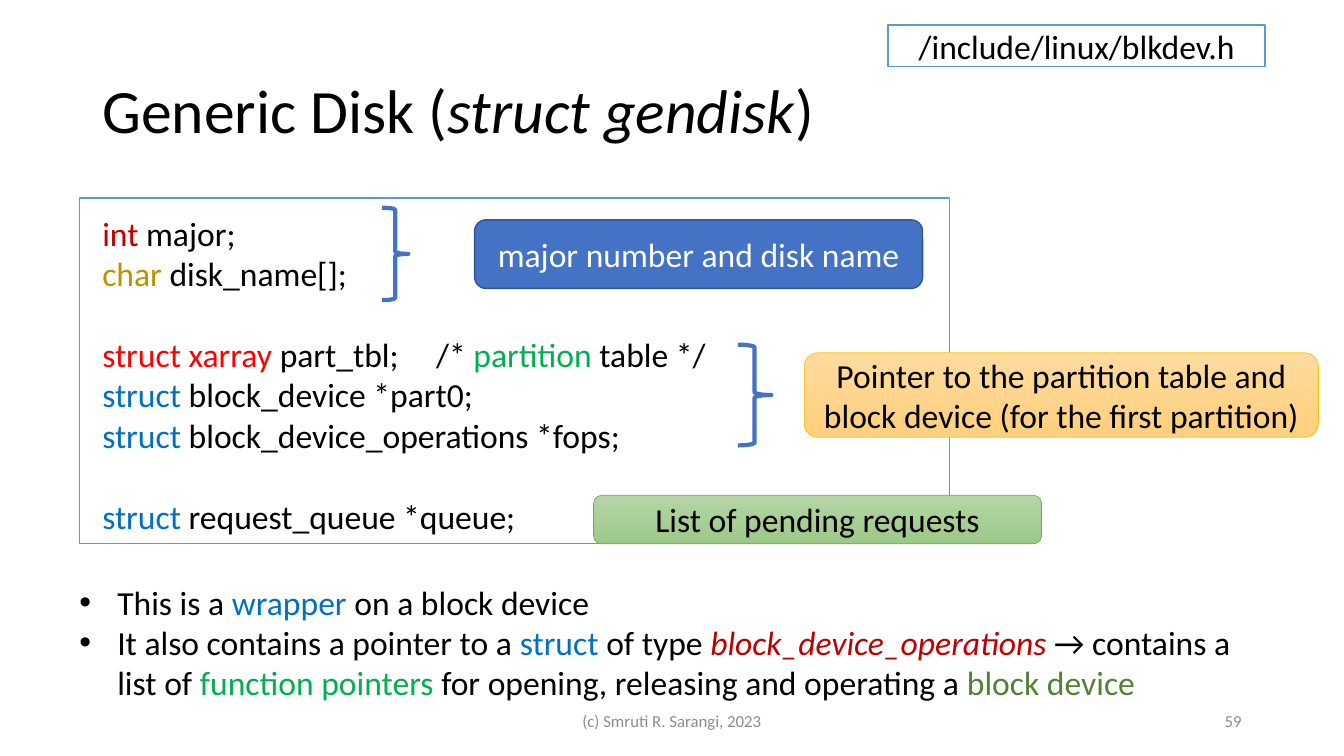
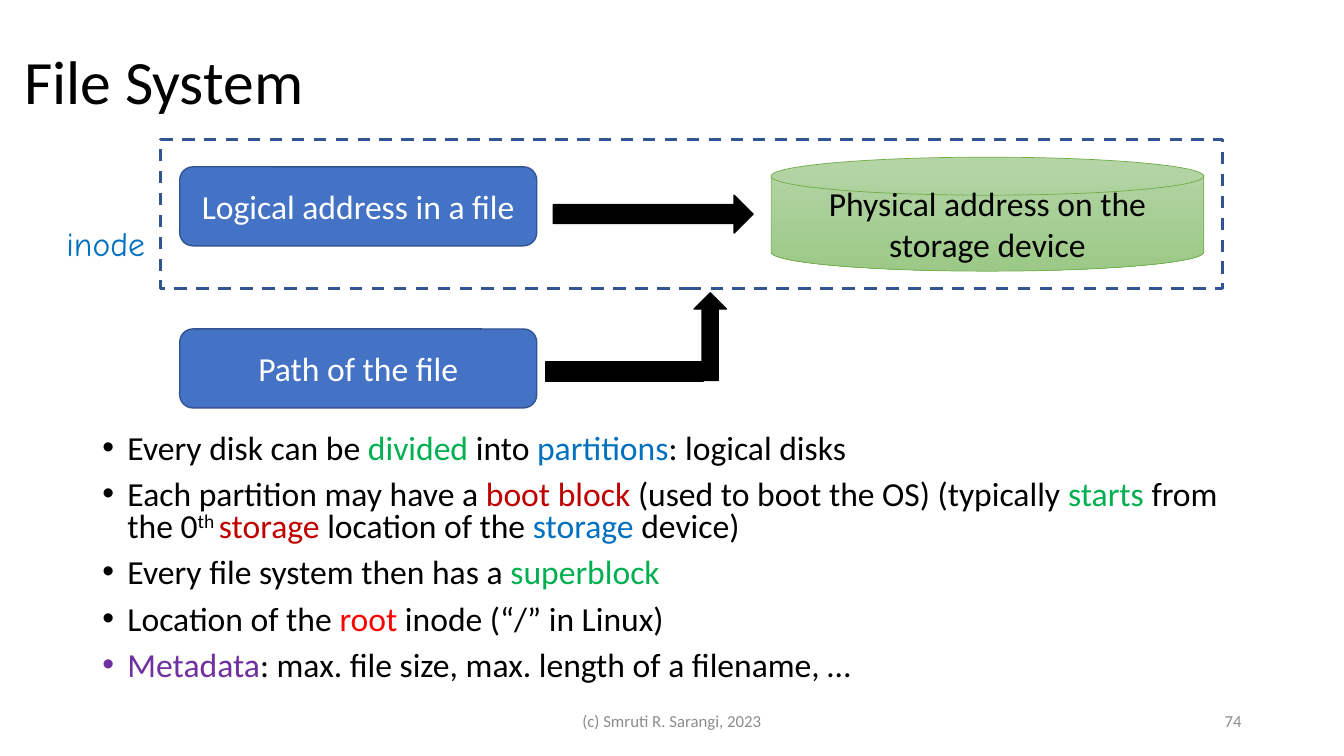
from dataclasses import dataclass

from lxml import etree
from pptx import Presentation
from pptx.dml.color import RGBColor
from pptx.enum.dml import MSO_LINE
from pptx.enum.shapes import MSO_SHAPE
from pptx.enum.text import MSO_ANCHOR, MSO_AUTO_SIZE, PP_ALIGN
from pptx.oxml.ns import qn
from pptx.util import Pt

RECTANGLE = MSO_SHAPE.RECTANGLE
ROUNDED = MSO_SHAPE.ROUNDED_RECTANGLE
BRACE = MSO_SHAPE.RIGHT_BRACE
ARROW = MSO_SHAPE.RIGHT_ARROW
DISK = MSO_SHAPE.FLOWCHART_MAGNETIC_DISK
DASH = MSO_LINE.DASH
TOP, MIDDLE = MSO_ANCHOR.TOP, MSO_ANCHOR.MIDDLE
LEFT, CENTER, RIGHT = PP_ALIGN.LEFT, PP_ALIGN.CENTER, PP_ALIGN.RIGHT
NO_AUTOFIT = MSO_AUTO_SIZE.NONE
TITLE_ONLY = 5


@dataclass(frozen=True)
class Theme:
    font: str = "Calibri"
    label_font: str = "Comic Neue"
    title_size: int = 44
    text_size: int = 24
    footer_size: int = 12
    black: str = "000000"
    white: str = "FFFFFF"
    gray: str = "8C8C8C"
    frame: str = "5B9BD5"
    box: str = "4472C4"
    box_edge: str = "325491"
    amber_edge: str = "FFC000"
    leaf_edge: str = "70AD47"
    amber: tuple = ("FFDB9E", "FFD07C")
    leaf: tuple = ("B5D5A7", "9CC987")
    crimson: str = "C00000"
    red: str = "FF0000"
    gold: str = "BF9000"
    green: str = "00B050"
    olive: str = "548235"
    blue: str = "0070C0"
    purple: str = "7030A0"


THEME = Theme()


@dataclass(frozen=True)
class Span:
    text: str
    color: str = ""
    italic: bool = False
    superscript: bool = False


class Deck:
    def __init__(self, theme):
        self.theme = theme
        self.presentation = Presentation()
        self.presentation.slide_width = Pt(960)
        self.presentation.slide_height = Pt(540)
        self.slide = None

    def new_slide(self, title, left, top, number):
        layout = self.presentation.slide_layouts[TITLE_ONLY]
        self.slide = self.presentation.slides.add_slide(layout)
        shape = self.slide.shapes.title
        shape.left, shape.top, shape.width, shape.height = Pt(left), Pt(top), Pt(828), Pt(104.4)
        frame = shape.text_frame
        frame.auto_size = NO_AUTOFIT
        frame.vertical_anchor = MIDDLE
        frame.paragraphs[0].line_spacing = 0.9
        self.fill_paragraph(frame.paragraphs[0], title, size=self.theme.title_size)
        footer = {"size": self.theme.footer_size, "color": self.theme.gray, "anchor": MIDDLE}
        self.text([["(c) Smruti R. Sarangi, 2023"]], 318, 500.4, 324, 28.8, align=CENTER, **footer)
        self.text([[number]], 678, 500.4, 216, 28.8, align=RIGHT, **footer)

    def fill_paragraph(self, paragraph, spans, size=None, color=None, font=None, align=LEFT):
        paragraph.alignment = align
        paragraph.font.name = font or self.theme.font
        paragraph.font.size = Pt(size or self.theme.text_size)
        paragraph.font.color.rgb = RGBColor.from_string(color or self.theme.black)
        for item in spans:
            span = item if isinstance(item, Span) else Span(item)
            run = paragraph.add_run()
            run.text = span.text
            if span.color:
                run.font.color.rgb = RGBColor.from_string(span.color)
            if span.italic:
                run.font.italic = True
            if span.superscript:
                run._r.get_or_add_rPr().set("baseline", "30000")

    def text(self, lines, left, top, width, height, anchor=TOP, wrap=True, **style):
        frame = self.slide.shapes.add_textbox(Pt(left), Pt(top), Pt(width), Pt(height)).text_frame
        frame.word_wrap = wrap
        frame.vertical_anchor = anchor
        for index, spans in enumerate(lines):
            paragraph = frame.add_paragraph() if index else frame.paragraphs[0]
            self.fill_paragraph(paragraph, spans, **style)
        return frame

    def code(self, groups, left, top, width, height, group_gap, comment_tab):
        frame = self.text([], left, top, width, height)
        for group_index, group in enumerate(groups):
            for line_index, spans in enumerate(group):
                first = group_index == line_index == 0
                paragraph = frame.paragraphs[0] if first else frame.add_paragraph()
                if group_index and not line_index:
                    paragraph.space_before = Pt(group_gap)
                tabs = etree.SubElement(paragraph._p.get_or_add_pPr(), qn("a:tabLst"))
                etree.SubElement(tabs, qn("a:tab"), pos=str(Pt(comment_tab)), algn="l")
                self.fill_paragraph(paragraph, spans)

    def bullets(self, lines, left, top, width, height, indent, spacing=1.0, gap=0):
        frame = self.text([], left, top, width, height)
        for index, spans in enumerate(lines):
            paragraph = frame.add_paragraph() if index else frame.paragraphs[0]
            properties = paragraph._p.get_or_add_pPr()
            properties.set("marL", str(Pt(indent)))
            properties.set("indent", str(-Pt(indent)))
            etree.SubElement(properties, qn("a:buFont"), typeface="Arial")
            etree.SubElement(properties, qn("a:buChar"), char="•")
            paragraph.line_spacing = spacing
            if index and gap:
                paragraph.space_before = Pt(gap)
            self.fill_paragraph(paragraph, spans)

    def shape(self, kind, left, top, width, height, line, weight=1, fill=None, text="", color=None):
        shape = self.slide.shapes.add_shape(kind, Pt(left), Pt(top), Pt(width), Pt(height))
        shape.shadow.inherit = False
        shape.line.color.rgb = RGBColor.from_string(line)
        shape.line.width = Pt(weight)
        if fill is None:
            shape.fill.background()
        elif isinstance(fill, tuple):
            shape.fill.gradient()
            shape.fill.gradient_angle = 270
            for stop, stop_color in zip(shape.fill.gradient_stops, fill):
                stop.color.rgb = RGBColor.from_string(stop_color)
        else:
            shape.fill.solid()
            shape.fill.fore_color.rgb = RGBColor.from_string(fill)
        if text:
            shape.text_frame.word_wrap = True
            shape.text_frame.vertical_anchor = MIDDLE
            self.fill_paragraph(shape.text_frame.paragraphs[0], [text], color=color, align=CENTER)
        return shape

    def frame(self, left, top, width, height, text=""):
        self.shape(RECTANGLE, left, top, width, height, self.theme.frame, fill=self.theme.white, text=text)

    def box(self, text, left, top, width, height):
        self.shape(ROUNDED, left, top, width, height, self.theme.box_edge,
                   fill=self.theme.box, text=text, color=self.theme.white)

    def tinted(self, kind, text, left, top, width, height, fill, line):
        self.shape(kind, left, top, width, height, line, 0.5, fill, text)

    def brace(self, left, top, width, height):
        self.shape(BRACE, left, top, width, height, self.theme.box, 3)

    def solid(self, kind, left, top, width, height, rotation=0):
        shape = self.shape(kind, left, top, width, height, self.theme.black, fill=self.theme.black)
        shape.rotation = rotation

    def save(self):
        self.presentation.save("out.pptx")


def build_generic_disk(deck):
    theme = deck.theme
    struct = Span("struct ", theme.blue)
    deck.new_slide(["Generic Disk (", Span("struct gendisk", italic=True), ")"], 66, 28.8, "59")
    deck.frame(57, 141.4, 621.4, 247)
    deck.code([
        [[Span("int", theme.crimson), " major;"],
         [Span("char ", theme.gold), "disk_name[];"]],
        [[Span("struct xarray ", theme.red), "part_tbl;\t/* ", Span("partition", theme.green), " table */"],
         [struct, "block_device *part0;"],
         [struct, "block_device_operations *fops;"]],
        [[struct, "request_queue *queue;"]],
    ], 66, 148.4, 570, 240, group_gap=29, comment_tab=238.5)
    deck.brace(273, 148.4, 18.7, 66)
    deck.box("major number and disk name", 339, 157, 320, 49)
    deck.brace(527, 246.2, 24, 72)
    deck.tinted(ROUNDED, "Pointer to the partition table and block device (for the first partition)",
                574.4, 252, 367.4, 60.4, theme.amber, theme.amber_edge)
    deck.tinted(ROUNDED, "List of pending requests", 424, 353.8, 320, 34.6, theme.leaf, theme.leaf_edge)
    deck.frame(634.4, 18, 269.2, 29.6, "/include/linux/blkdev.h")
    deck.bullets([
        ["This is a ", Span("wrapper", theme.blue), " on a block device"],
        ["It also contains a pointer to a ", Span("struct", theme.blue), " of type ",
         Span("block_device_operations ", theme.crimson, italic=True), "→ contains a list of ",
         Span("function pointers ", theme.green), "for opening, releasing and operating a ",
         Span("block device", theme.olive)],
    ], 49.7, 411.8, 846.7, 94.4, indent=27)


def build_file_system(deck):
    theme = deck.theme
    deck.new_slide(["File System"], 10, 8, "74")
    deck.bullets([
        ["Every disk can be ", Span("divided", theme.green), " into ",
         Span("partitions", theme.blue), ": logical disks"],
        ["Each partition may have a ", Span("boot block ", theme.crimson),
         "(used to boot the OS) (typically ", Span("starts", theme.green), " from the 0",
         Span("th ", superscript=True), Span("storage", theme.crimson), " location of the ",
         Span("storage", theme.blue), " device)"],
        ["Every file system then has a ", Span("superblock", theme.green)],
        ["Location of the ", Span("root ", theme.red), "inode (“/” in Linux)"],
        [Span("Metadata", theme.purple), ": max. file size, max. length of a filename, …"],
    ], 66, 306.7, 828, 201.6, indent=18, spacing=0.8, gap=10)
    for text, top in (("Logical address in a file", 119.2), ("Path of the file", 235)):
        deck.box(text, 128.4, top, 255, 56.4)
    deck.solid(ARROW, 395.3, 139.4, 142.6, 27)
    deck.tinted(DISK, "Physical address on the storage device", 550.8, 112.3, 309, 81.4,
                theme.leaf, theme.leaf_edge)
    deck.shape(RECTANGLE, 114.5, 99.4, 759, 106.6, theme.box_edge, 2.25).line.dash_style = DASH
    deck.solid(RECTANGLE, 389.5, 258.5, 113, 13.7)
    deck.solid(ARROW, 476, 229, 62.6, 23, rotation=270)
    deck.text([["inode"]], 40.3, 155.5, 74.2, 36, wrap=False, font=theme.label_font, color=theme.blue)


def main():
    deck = Deck(THEME)
    build_generic_disk(deck)
    build_file_system(deck)
    deck.save()


if __name__ == "__main__":
    main()
